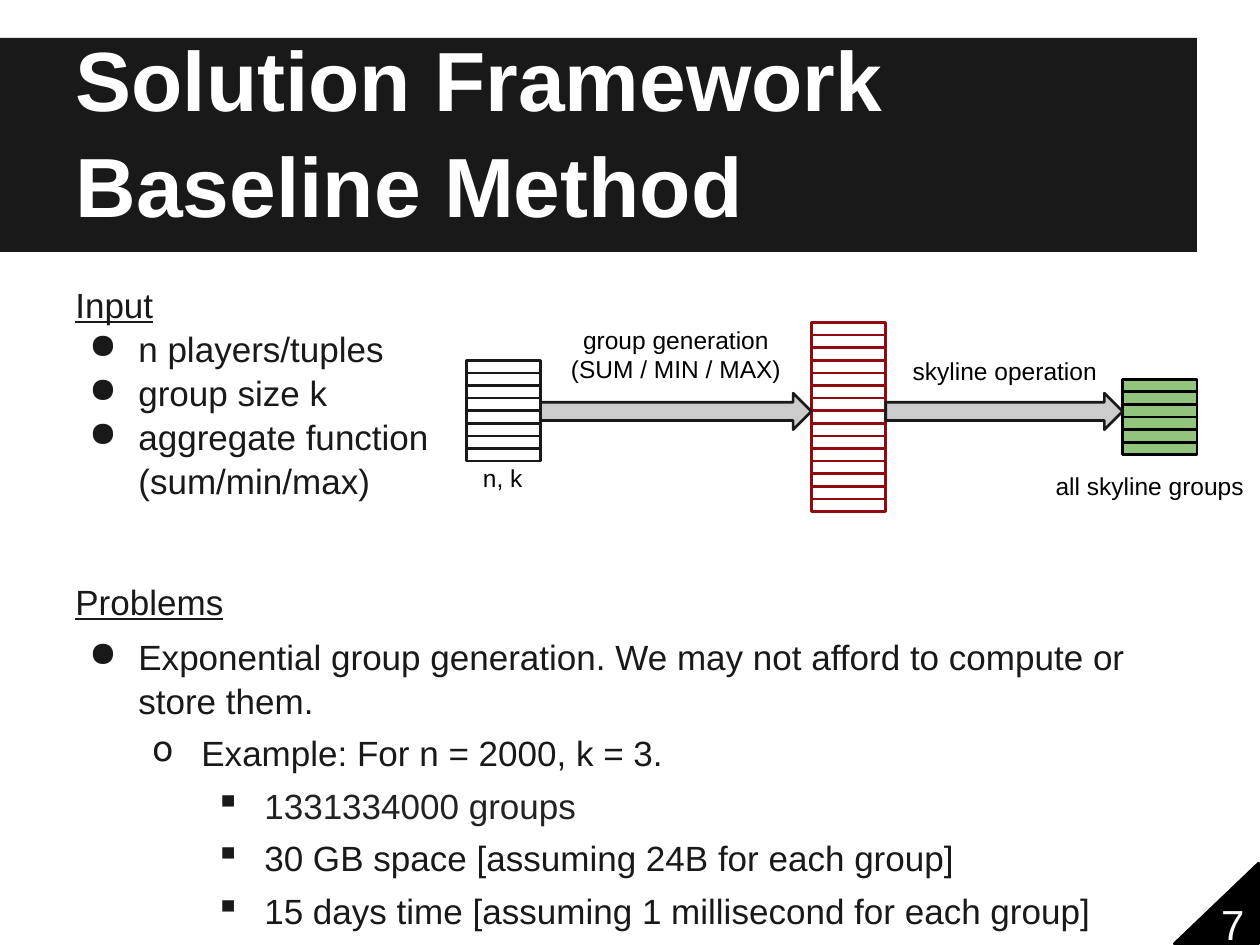
from pptx import Presentation
from pptx.dml.color import RGBColor
from pptx.enum.shapes import MSO_SHAPE
from pptx.enum.text import MSO_ANCHOR, MSO_AUTO_SIZE, PP_ALIGN
from pptx.util import Inches, Pt
from lxml.etree import SubElement
from pptx.oxml.ns import qn

INK = "191919"
WHITE = "FFFFFF"
BLACK = "000000"
CELL_W, CELL_H = 0.59, 0.1
ARROW_TOP, ARROW_H = 3.12, 0.29


def color(code):
    return RGBColor.from_string(code)


def mark(para, char, level):
    """Give a paragraph a hanging bullet; an empty char only indents."""
    props = para._p.get_or_add_pPr()
    props.set("marL", str(Inches(0.5 * level)))
    props.set("indent", str(Inches(-0.39) if char else 0))
    if char:
        tint = SubElement(props, qn("a:buClr"))
        SubElement(tint, qn("a:srgbClr"), val=INK)
        SubElement(props, qn("a:buChar"), char=char)
    else:
        SubElement(props, qn("a:buNone"))


def write(shape, lines, size=14, ink=BLACK, bold=False, align=PP_ALIGN.CENTER,
          anchor=MSO_ANCHOR.MIDDLE, space=None):
    """Each line is text, or (text, format) with level, bullet and so on."""
    frame = shape.text_frame
    frame.word_wrap = True
    frame.auto_size = MSO_AUTO_SIZE.NONE
    frame.vertical_anchor = anchor
    frame.margin_left = frame.margin_right = Inches(0.1)
    frame.margin_top = frame.margin_bottom = Inches(0.1)
    for i, line in enumerate(lines):
        words, form = (line, {}) if isinstance(line, str) else line
        para = frame.paragraphs[0] if i == 0 else frame.add_paragraph()
        level = form.get("level", 0)
        if level:
            mark(para, form.get("bullet", ""), level)
            para.level = level - 1
        para.alignment = align
        para.space_before = Pt(form.get("before", 0))
        if space:
            para.line_spacing = space
        run = para.add_run()
        run.text = words
        font = run.font
        font.name, font.size, font.bold = "Arial", Pt(size), bold
        font.underline = form.get("under", False)
        font.color.rgb = color(form.get("ink", ink))


def label(slide, box, lines, **form):
    write(slide.shapes.add_textbox(*map(Inches, box)), lines, **form)


def block(slide, kind, box, fill, line=None):
    shape = slide.shapes.add_shape(kind, *map(Inches, box))
    shape.shadow.inherit = False
    shape.fill.solid()
    shape.fill.fore_color.rgb = color(fill)
    if line:
        shape.line.color.rgb = color(line)
        shape.line.width = Pt(1.5)
    else:
        shape.line.fill.background()
    return shape


def stack(slide, left, top, rows, fill, line):
    for row in range(rows):
        box = (left, top + row * CELL_H, CELL_W, CELL_H)
        block(slide, MSO_SHAPE.RECTANGLE, box, fill, line)


def arrow(slide, start, end):
    box = (start + CELL_W, ARROW_TOP, end - start - CELL_W, ARROW_H)
    block(slide, MSO_SHAPE.RIGHT_ARROW, box, "CCCCCC", INK)


def header(slide):
    title = slide.shapes.title
    title.left, title.top = Inches(0.5), Inches(0.3)
    title.width, title.height = Inches(9), Inches(1.66)
    write(title, ["Solution Framework", "Baseline Method"], size=48, ink=WHITE,
          bold=True, align=PP_ALIGN.LEFT, anchor=MSO_ANCHOR.BOTTOM, space=1.05)
    # The band lies behind the title
    band = block(slide, MSO_SHAPE.RECTANGLE, (0, 0.3, 9.5, 1.7), INK)
    title.element.addprevious(band.element)


def flow(slide):
    # Tuples, candidate groups, skyline groups
    stacks = [(3.7, 2.86, 8, WHITE, INK),
              (6.44, 2.56, 15, WHITE, "910A10"),
              (8.91, 3.01, 6, "93C47D", BLACK)]
    for item in stacks:
        stack(slide, *item)
    for one, two in zip(stacks, stacks[1:]):
        arrow(slide, one[0], two[0])
    label(slide, (3.54, 3.6, 0.9, 0.38), ["n, k"])
    label(slide, (4.23, 2.62, 2.27, 0.38),
          ["group generation", "(SUM / MIN / MAX)"])
    label(slide, (6.84, 2.84, 2.27, 0.21), ["skyline operation"])
    label(slide, (8.17, 3.71, 1.91, 0.29), ["all skyline groups"])


def main():
    deck = Presentation()
    deck.slide_width, deck.slide_height = Inches(10), Inches(7.5)
    slide = deck.slides.add_slide(deck.slide_layouts[5])
    header(slide)

    # Text above and below the flow
    body = dict(size=20, ink=INK, align=PP_ALIGN.LEFT,
                anchor=MSO_ANCHOR.TOP, space=1.05)
    dot = dict(level=1, bullet="●")
    deep = dict(level=3, bullet="▪", before=4.8)
    label(slide, (0.5, 2.13, 9, 2.1), [
        ("Input", dict(under=True)),
        ("n players/tuples", dot),
        ("group size k", dot),
        ("aggregate function", dot),
        ("(sum/min/max)", dict(level=1)),
    ], **body)
    flow(slide)
    label(slide, (0.5, 4.49, 9, 2.65), [
        ("Problems", dict(under=True)),
        ("Exponential group generation. We may not afford to compute or "
         "store them.", dict(dot, before=6)),
        ("Example: For n = 2000, k = 3.",
         dict(level=2, bullet="o", before=4.8)),
        ("1331334000 groups", dict(deep, ink="222222")),
        ("30 GB space [assuming 24B for each group]", deep),
        ("15 days time [assuming 1 millisecond for each group]", deep),
    ], **body)

    # Page corner
    corner = block(slide, MSO_SHAPE.RIGHT_TRIANGLE, (9.32, 6.85, 0.67, 0.64),
                   BLACK, BLACK)
    corner.element.spPr.get_or_add_xfrm().set("flipH", "1")
    label(slide, (9.45, 7.09, 0.67, 0.48), ["7"], size=24, ink=WHITE)

    deck.save("out.pptx")


if __name__ == "__main__":
    main()
